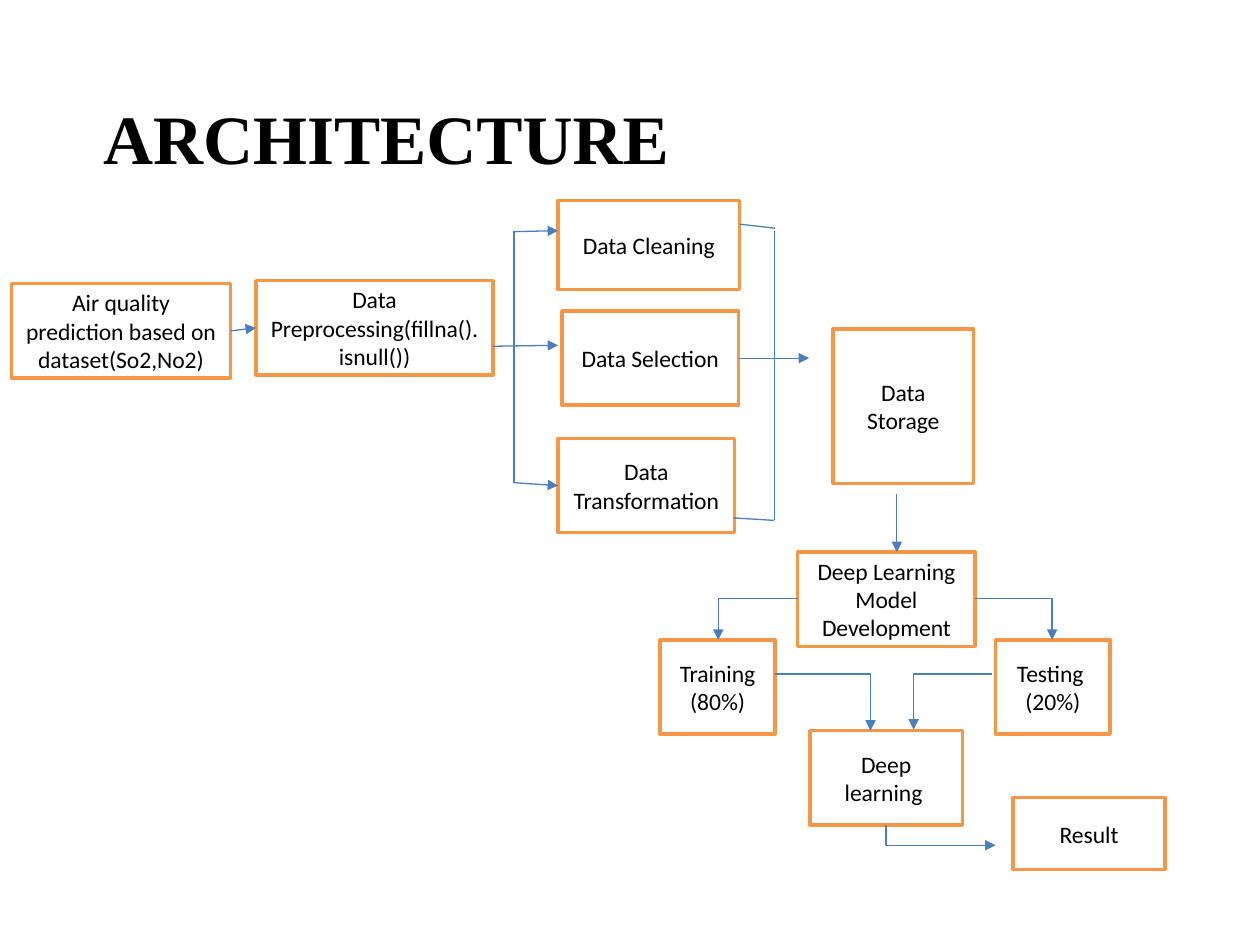
from dataclasses import dataclass
from typing import Optional

from lxml import etree
from pptx import Presentation
from pptx.dml.color import RGBColor
from pptx.enum.shapes import MSO_CONNECTOR, MSO_SHAPE
from pptx.enum.text import MSO_ANCHOR, PP_ALIGN
from pptx.oxml.ns import qn
from pptx.util import Cm, Pt

RECT = MSO_SHAPE.RECTANGLE
STRAIGHT, ELBOW = MSO_CONNECTOR.STRAIGHT, MSO_CONNECTOR.ELBOW
MIDDLE = MSO_ANCHOR.MIDDLE
CENTER, RIGHT = PP_ALIGN.CENTER, PP_ALIGN.RIGHT
WEST, EAST = 1, 3

WHITE, BLACK, ORANGE, BLUE = "FFFFFF", "000000", "F79646", "4B7EBC"


@dataclass
class Box:
    text: str
    x: float
    y: float
    w: float
    h: float = 1.9


@dataclass
class Link:
    """Line from start to end; bend is the share of the width before an elbow turns."""
    start: tuple[float, float]
    end: tuple[float, float]
    arrow: bool = True
    bend: Optional[float] = None
    tail: Optional[str] = None
    head: Optional[str] = None


BOXES = {
    "test": Box("Testing \n(20%)", 20.07, 12.9, 2.31),
    "prep": Box("Data Preprocessing(fillna().isnull())", 5.16, 5.66, 4.78),
    "source": Box("Air quality prediction based on dataset(So2,No2)", 0.23, 5.72, 4.42),
    "train": Box("Training\n(80%)", 13.31, 12.9, 2.31),
    "clean": Box("Data Cleaning", 11.25, 4.04, 3.66, 1.8),
    "shift": Box("Data Transformation", 11.25, 8.84, 3.56),
    "store": Box("Data Storage", 16.79, 6.63, 2.84, 3.12),
    "select": Box("Data Selection", 11.33, 6.27, 3.56),
    "model": Box("Deep Learning Model Development", 16.08, 11.13, 3.58),
    "learn": Box("Deep learning ", 16.33, 14.73, 3.07),
    "result": Box("Result", 20.42, 16.08, 3.07, 1.45),
}

LINKS = [
    Link((4.65, 6.67), (5.16, 6.61), tail="source", head="prep"),
    Link((18.08, 9.96), (18.08, 11.13)),
    # Model to the two data sets, and from these to deep learning
    Link((19.66, 12.06), (21.21, 12.9), bend=1),
    Link((16.08, 12.06), (14.48, 12.9), bend=1),
    Link((15.62, 13.59), (17.55, 14.73), bend=1),
    Link((19.99, 13.59), (18.42, 14.71), bend=1),
    # Split into three data steps
    Link((10.36, 4.65), (10.36, 9.73), arrow=False),
    Link((10.36, 4.67), (11.25, 4.65)),
    Link((10.36, 9.73), (11.25, 9.79), head="shift"),
    Link((9.93, 6.98), (11.25, 6.96)),
    # Merge towards storage
    Link((15.62, 4.65), (15.62, 10.49), arrow=False),
    Link((15.6, 7.22), (16.31, 7.22)),
    Link((14.91, 4.52), (15.62, 4.6), arrow=False),
    Link((14.89, 7.22), (15.6, 7.22), arrow=False, tail="select"),
    Link((15.6, 10.49), (14.78, 10.44), arrow=False),
    Link((17.86, 16.64), (20.07, 17.04), bend=0),
]


def color(code: str) -> RGBColor:
    return RGBColor.from_string(code)


def write(frame, text: str, size: float, font: str, align, bold: bool = False) -> None:
    frame.word_wrap = True
    frame.vertical_anchor = MIDDLE
    for i, line in enumerate(text.split("\n")):
        para = frame.add_paragraph() if i else frame.paragraphs[0]
        para.alignment = align
        run = para.add_run()
        run.text = line
        run.font.size = Pt(size)
        run.font.name = font
        run.font.bold = bold
        run.font.color.rgb = color(BLACK)


def draw_box(slide, box: Box):
    shape = slide.shapes.add_shape(RECT, Cm(box.x), Cm(box.y), Cm(box.w), Cm(box.h))
    shape.shadow.inherit = False
    shape.fill.solid()
    shape.fill.fore_color.rgb = color(WHITE)
    shape.line.color.rgb = color(ORANGE)
    shape.line.width = Pt(2)
    write(shape.text_frame, box.text, 13.5, "Calibri", CENTER)
    return shape


def draw_link(slide, link: Link, shapes: dict) -> None:
    kind = STRAIGHT if link.bend is None else ELBOW
    ends = [Cm(v) for v in link.start + link.end]
    line = slide.shapes.add_connector(kind, *ends)
    line.line.color.rgb = color(BLUE)
    line.line.width = Pt(0.75)
    props = line._element.spPr
    etree.SubElement(props, qn("a:effectLst"))
    if link.arrow:
        etree.SubElement(line.line._get_or_add_ln(), qn("a:tailEnd"), type="triangle")
    if link.bend is not None:
        guides = props.find(qn("a:prstGeom")).find(qn("a:avLst"))
        etree.SubElement(guides, qn("a:gd"), name="adj1",
                         fmla=f"val {round(link.bend * 100000)}")
    if link.tail:
        line.begin_connect(shapes[link.tail], EAST)
    if link.head:
        line.end_connect(shapes[link.head], WEST)


def main() -> None:
    deck = Presentation()
    deck.slide_width, deck.slide_height = Cm(25.4), Cm(19.05)
    slide = deck.slides.add_slide(deck.slide_layouts[6])
    shapes = {name: draw_box(slide, box) for name, box in BOXES.items()}
    title = slide.shapes.add_textbox(Cm(0.23), Cm(1.9), Cm(13.51), Cm(1.7))
    write(title.text_frame, "ARCHITECTURE", 39.6, "Times New Roman", RIGHT, True)
    for link in LINKS:
        draw_link(slide, link, shapes)
    deck.save("out.pptx")


if __name__ == "__main__":
    main()
